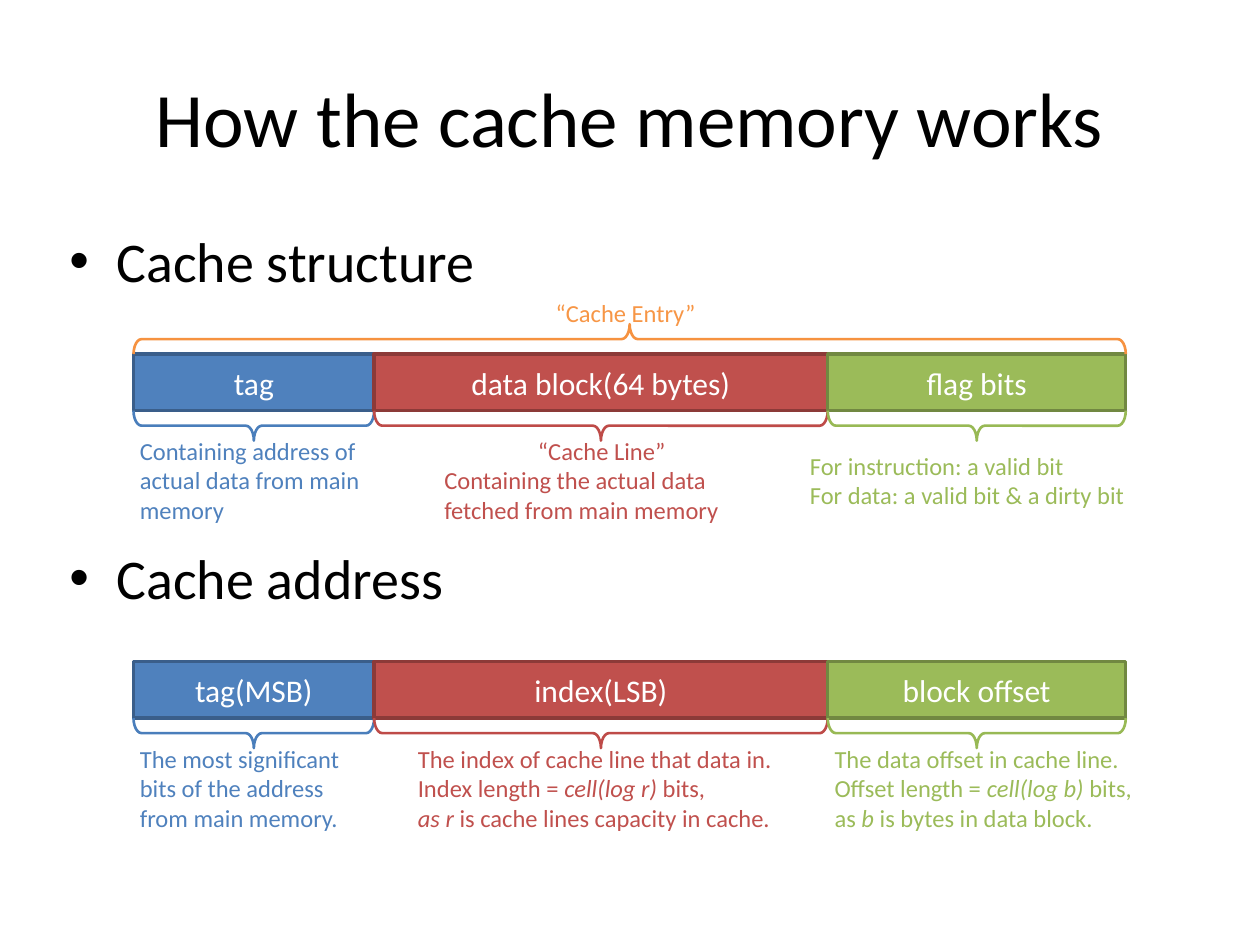
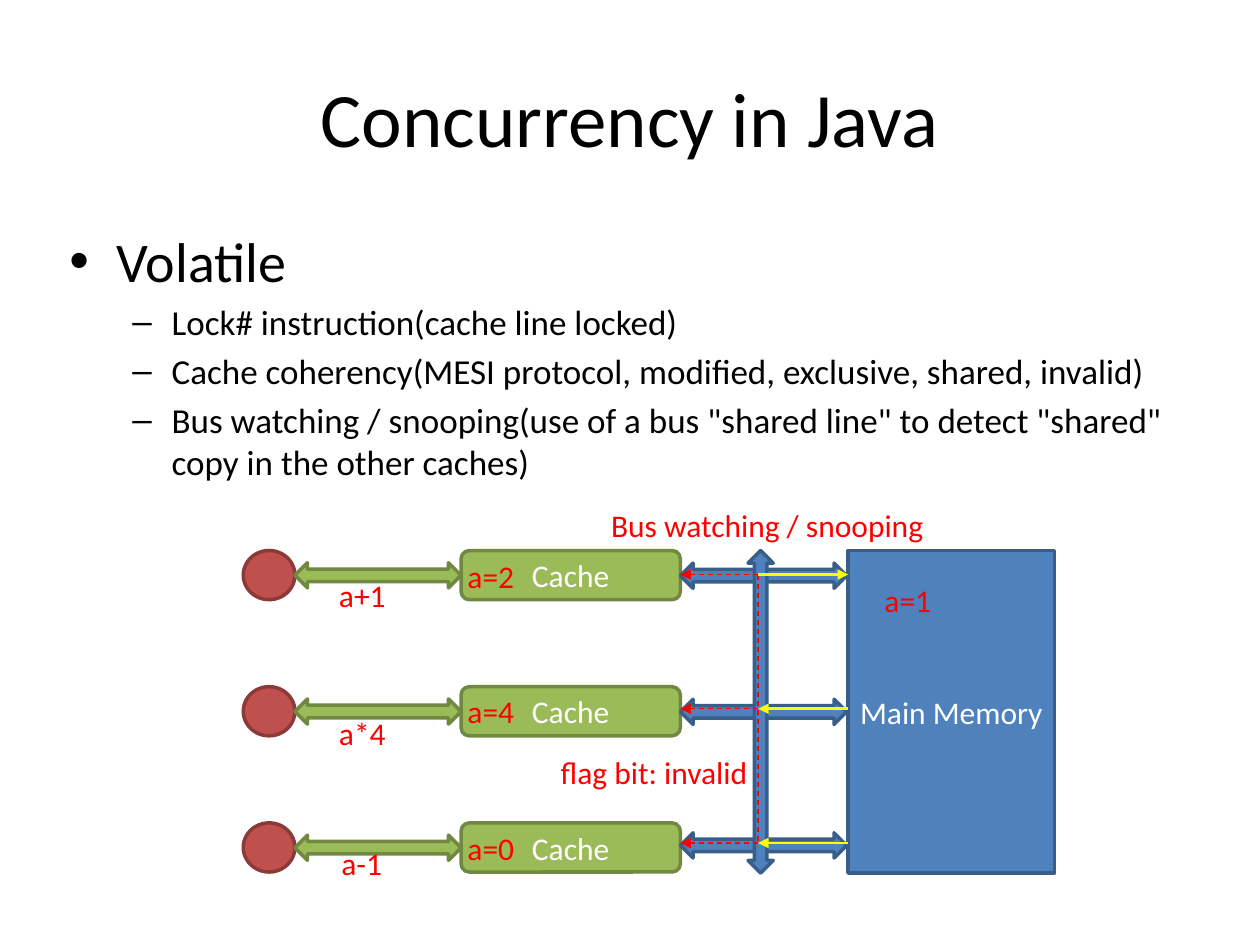
from lxml import etree
from pptx import Presentation
from pptx.dml.color import RGBColor
from pptx.enum.dml import MSO_LINE
from pptx.enum.shapes import MSO_CONNECTOR, MSO_SHAPE
from pptx.enum.text import MSO_ANCHOR, PP_ALIGN
from pptx.oxml.ns import qn
from pptx.util import Pt

FONT = "Calibri"
BLACK = RGBColor(0x00, 0x00, 0x00)
WHITE = RGBColor(0xFF, 0xFF, 0xFF)
RED = RGBColor(0xFF, 0x00, 0x00)
YELLOW = RGBColor(0xFF, 0xFF, 0x00)
BLUE = RGBColor(0x4F, 0x81, 0xBD)
BLUE_EDGE = RGBColor(0x3A, 0x5E, 0x8A)
BLUE_BRACE = RGBColor(0x4A, 0x7E, 0xBB)
BRICK = RGBColor(0xC0, 0x50, 0x4D)
BRICK_EDGE = RGBColor(0x8C, 0x3A, 0x38)
BRICK_BRACE = RGBColor(0xBE, 0x4B, 0x48)
GREEN = RGBColor(0x9B, 0xBB, 0x59)
GREEN_EDGE = RGBColor(0x71, 0x88, 0x41)
GREEN_BRACE = RGBColor(0x98, 0xB9, 0x55)
ORANGE = RGBColor(0xF7, 0x96, 0x46)
ORANGE_BRACE = RGBColor(0xF6, 0x92, 0x40)

EDGES = {BLUE: BLUE_EDGE, BRICK: BRICK_EDGE, GREEN: GREEN_EDGE}
BRACES = {BLUE: BLUE_BRACE, BRICK: BRICK_BRACE, GREEN: GREEN_BRACE}

INSET = 3.6
BAR_LEFT, BAR_HEIGHT = 76.3, 32.4
FIELD_WIDTHS = (137.5, 259.2, 170.3)
FIELD_COLORS = (BLUE, BRICK, GREEN)
BRACE_DEPTH = 17.1

ROW_TOP, ROW_STEP, ROW_HEIGHT = 314.6, 77.8, 28.1
SIGNAL_TOP, SIGNAL_STEP = 328.3, 76.7
CORE_LEFT, CORE_WIDTH = 139, 29.5
CACHE_LEFT, CACHE_WIDTH = 263.5, 125.3
LINK_WIDTH, LINK_HEIGHT = 95, 14.4
BUS_X, MEMORY_LEFT = 433.2, 484.6
MEMORY_WIDTH, MEMORY_HEIGHT = 118.1, 184.3


def format_runs(paragraph, size, color):
    for run in paragraph.runs:
        run.font.name = FONT
        run.font.size = Pt(size)
        run.font.color.rgb = color


def set_insets(frame):
    frame.margin_left = frame.margin_right = Pt(INSET)
    frame.margin_top = frame.margin_bottom = Pt(INSET)


def add_frame(slide, left, top, width, height, wrap=True):
    frame = slide.shapes.add_textbox(Pt(left), Pt(top), Pt(width), Pt(height)).text_frame
    set_insets(frame)
    frame.word_wrap = wrap
    return frame


def add_title(slide, title):
    frame = add_frame(slide, 36, 21.6, 648, 90)
    frame.vertical_anchor = MSO_ANCHOR.MIDDLE
    frame.text = title
    frame.paragraphs[0].alignment = PP_ALIGN.CENTER
    format_runs(frame.paragraphs[0], 44, BLACK)


def set_bullet(paragraph, mark, indent, hanging):
    props = paragraph._p.get_or_add_pPr()
    props.set("marL", str(Pt(indent)))
    props.set("indent", str(-Pt(hanging)))
    etree.SubElement(props, qn("a:buFont")).set("typeface", "Arial")
    etree.SubElement(props, qn("a:buChar")).set("char", mark)


def add_outline(slide, entries):
    frame = add_frame(slide, 36, 126, 648, 356.4)
    frame.text = "\n".join(text for text, level, gap in entries)
    for paragraph, (text, level, gap) in zip(frame.paragraphs, entries):
        paragraph.level = level
        paragraph.space_before = Pt(gap)
        mark, indent, hanging, size = (("•", 27, 27, 32), ("–", 58.5, 22.5, 20))[level]
        set_bullet(paragraph, mark, indent, hanging)
        format_runs(paragraph, size, BLACK)


def add_note(slide, left, top, width, lines, color, centered_first=False):
    frame = add_frame(slide, left, top, width, 17 * len(lines) + 7.2)
    for index, line in enumerate(lines):
        paragraph = frame.paragraphs[0] if index == 0 else frame.add_paragraph()
        for part, text in enumerate(line.split("_")):
            if text:
                run = paragraph.add_run()
                run.text = text
                run.font.italic = part % 2 == 1
        format_runs(paragraph, 14, color)
    if centered_first:
        frame.paragraphs[0].alignment = PP_ALIGN.CENTER


def add_label(slide, left, top, width, text):
    frame = add_frame(slide, left, top, width, 29.2, wrap=False)
    frame.text = text
    format_runs(frame.paragraphs[0], 18, RED)


def add_block(slide, kind, left, top, width, height, color, text="", adjustments=()):
    block = slide.shapes.add_shape(kind, Pt(left), Pt(top), Pt(width), Pt(height))
    block.shadow.inherit = False
    block.fill.solid()
    block.fill.fore_color.rgb = color
    block.line.color.rgb = EDGES[color]
    block.line.width = Pt(2)
    for index, value in enumerate(adjustments):
        block.adjustments[index] = value
    if text:
        frame = block.text_frame
        set_insets(frame)
        frame.vertical_anchor = MSO_ANCHOR.MIDDLE
        frame.text = text
        frame.paragraphs[0].alignment = PP_ALIGN.CENTER
        format_runs(frame.paragraphs[0], 18, WHITE)


def add_brace(slide, left, top, span, color, rotation=90):
    brace = slide.shapes.add_shape(
        MSO_SHAPE.RIGHT_BRACE,
        Pt(left + (span - BRACE_DEPTH) / 2), Pt(top + (BRACE_DEPTH - span) / 2),
        Pt(BRACE_DEPTH), Pt(span))
    brace.rotation = rotation
    brace.adjustments[0] = 0.27
    brace.shadow.inherit = False
    brace.fill.background()
    brace.line.color.rgb = color
    brace.line.width = Pt(1.5)


def add_field_bar(slide, top, names):
    left = BAR_LEFT
    for name, width, color in zip(names, FIELD_WIDTHS, FIELD_COLORS):
        add_block(slide, MSO_SHAPE.RECTANGLE, left, top, width, BAR_HEIGHT, color, name)
        add_brace(slide, left, top + BAR_HEIGHT, width, BRACES[color])
        left += width


def add_signal(slide, start, end, color, width, dashed=False, arrow=True):
    signal = slide.shapes.add_connector(
        MSO_CONNECTOR.STRAIGHT, *(Pt(value) for value in start + end))
    signal.line.color.rgb = color
    signal.line.width = Pt(width)
    if dashed:
        signal.line.dash_style = MSO_LINE.DASH
    if arrow:
        etree.SubElement(signal.line._get_or_add_ln(), qn("a:tailEnd")).set("type", "triangle")
    etree.SubElement(signal._element.spPr, qn("a:effectLst"))


def build_cache_layout(slide):
    add_title(slide, "How the cache memory works")
    add_outline(slide, [("Cache structure", 0, 6.4), ("Cache address", 0, 142.7)])

    structure_top, address_top = 202.3, 378
    add_field_bar(slide, structure_top, ("tag", "data block(64 bytes)", "flag bits"))
    add_brace(slide, BAR_LEFT, structure_top - BRACE_DEPTH, sum(FIELD_WIDTHS), ORANGE_BRACE, 270)
    add_note(slide, 313.9, 167, 92.9, ["“Cache Entry”"], ORANGE)
    add_note(slide, BAR_LEFT, 245.5, 137.5,
             ["Containing address of actual data from main memory"], BLUE)
    add_note(slide, 250.3, 245.5, 187.2,
             ["“Cache Line”", "Containing the actual data fetched from main memory"],
             BRICK, centered_first=True)
    add_note(slide, 459.2, 254, 198.7,
             ["For instruction: a valid bit", "For data: a valid bit & a dirty bit"], GREEN)

    add_field_bar(slide, address_top, ("tag(MSB)", "index(LSB)", "block offset"))
    add_note(slide, BAR_LEFT, 421.6, 137.5,
             ["The most significant bits of the address from main memory."], BLUE)
    add_note(slide, 235.2, 421.6, 224,
             ["The index of cache line that data in.",
              "Index length = _cell(log r)_ bits,",
              "_as r_ is cache lines capacity in cache."], BRICK)
    add_note(slide, 473.3, 421.6, 184.3,
             ["The data offset in cache line.",
              "Offset length = _cell(log b)_ bits,",
              "as _b_ is bytes in data block."], GREEN)


def add_core_row(slide, top, bus_link_top):
    add_block(slide, MSO_SHAPE.OVAL, CORE_LEFT, top, CORE_WIDTH, ROW_HEIGHT, BRICK)
    add_block(slide, MSO_SHAPE.ROUNDED_RECTANGLE, CACHE_LEFT, top, CACHE_WIDTH,
              ROW_HEIGHT, GREEN, "Cache", (0.167,))
    for left, link_top, color in (
            (CORE_LEFT + CORE_WIDTH, top + 7, GREEN),
            (CACHE_LEFT + CACHE_WIDTH, bus_link_top, BLUE)):
        add_block(slide, MSO_SHAPE.LEFT_RIGHT_ARROW, left, link_top, LINK_WIDTH,
                  LINK_HEIGHT, color, adjustments=(0.5, 0.5))


def build_volatile(slide):
    add_title(slide, "Concurrency in Java")
    add_outline(slide, [
        ("Volatile", 0, 6.4),
        ("Lock# instruction(cache line locked)", 1, 4),
        ("Cache coherency(MESI protocol, modified, exclusive, shared, invalid)", 1, 4),
        ('Bus watching / snooping(use of a bus "shared line" to detect "shared" '
         "copy in the other caches)", 1, 4),
    ])
    add_block(slide, MSO_SHAPE.RECTANGLE, MEMORY_LEFT, ROW_TOP, MEMORY_WIDTH,
              MEMORY_HEIGHT, BLUE, "Main Memory")
    for row, bus_link_top in enumerate((321.8, 399.6, 475.9)):
        add_core_row(slide, ROW_TOP + row * ROW_STEP, bus_link_top)

    add_block(slide, MSO_SHAPE.UP_DOWN_ARROW, BUS_X + 1.5 - LINK_HEIGHT / 2, ROW_TOP,
              LINK_HEIGHT, MEMORY_HEIGHT, BLUE, adjustments=(0.5, 0.5))

    for left, top, width, text in (
            (501.8, 328.3, 34.6, "a=1"),
            (CACHE_LEFT, 314.6, 34.6, "a=2"),
            (CACHE_LEFT, 391.7, 34.6, "a=4"),
            (CACHE_LEFT, 470.2, 34.6, "a=0"),
            (190.1, 325.4, 34.6, "a+1"),
            (190.1, 404.6, 34.6, "a*4"),
            (191.5, 478.8, 31.7, "a-1"),
            (345.6, 285.8, 186.5, "Bus watching / snooping"),
            (316.8, 427, 115.2, "flag bit: invalid")):
        add_label(slide, left, top, width, text)

    signal_rows = [SIGNAL_TOP + row * SIGNAL_STEP for row in range(3)]
    add_signal(slide, (BUS_X, signal_rows[0]), (BUS_X, signal_rows[-1]), RED, 0.75,
               dashed=True, arrow=False)
    for row, y in enumerate(signal_rows):
        bus, memory = (BUS_X, y), (MEMORY_LEFT, y)
        add_signal(slide, bus, (CACHE_LEFT + CACHE_WIDTH, y), RED, 0.75, dashed=True)
        start, end = (bus, memory) if row == 0 else (memory, bus)
        add_signal(slide, start, end, YELLOW, 1.5)


def main():
    deck = Presentation()
    deck.slide_width, deck.slide_height = Pt(720), Pt(540)
    for build in (build_cache_layout, build_volatile):
        build(deck.slides.add_slide(deck.slide_layouts[6]))
    deck.save("out.pptx")


if __name__ == "__main__":
    main()
